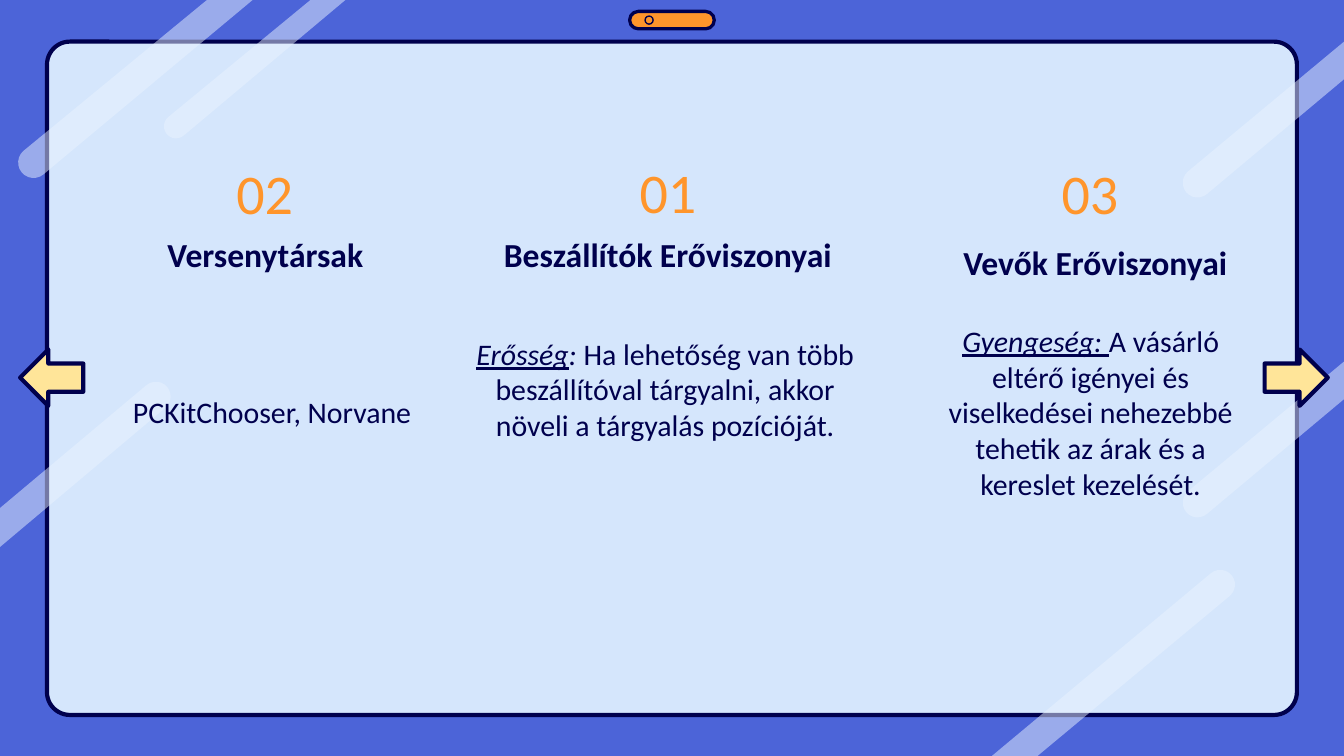
from dataclasses import dataclass
from math import cos, radians, sin

from lxml.etree import SubElement
from pptx import Presentation
from pptx.dml.color import RGBColor
from pptx.enum.shapes import MSO_SHAPE as Preset
from pptx.enum.text import MSO_ANCHOR as Anchor, PP_ALIGN as Align
from pptx.oxml.ns import qn
from pptx.util import Inches, Pt

COLUMNS = 100


@dataclass(frozen=True)
class Theme:
    background: str = "4C64D8"
    panel: str = "D5E6FC"
    ink: str = "00004D"
    accent: str = "FF952B"
    arrow: str = "FFE599"
    stripe: str = "E9F3FF"
    font: str = "Calibri"
    number_size: int = 30
    heading_size: int = 18
    body_size: int = 16
    outline: float = 2.25


def add_text(paragraph, text, font="Calibri", size=16, color="00004D",
             bold=False, italic=False, underline=False):
    run = paragraph.add_run()
    run.text = text
    run.font.name = font
    run.font.size = Pt(size)
    run.font.color.rgb = RGBColor.from_string(color)
    run.font.bold = bold
    run.font.italic = italic
    run.font.underline = underline


class SlideBuilder:
    def __init__(self, presentation, theme):
        self.theme = theme
        self.unit = presentation.slide_width / COLUMNS
        self.bottom = presentation.slide_height / self.unit
        self.slide = presentation.slides.add_slide(presentation.slide_layouts[6])
        fill = self.slide.background.fill
        fill.solid()
        fill.fore_color.rgb = RGBColor.from_string(theme.background)

    def grid(self, *lengths):
        return [round(length * self.unit) for length in lengths]

    def paint(self, shape, color, outline=None):
        shape.shadow.inherit = False
        shape.fill.solid()
        shape.fill.fore_color.rgb = RGBColor.from_string(color)
        if outline is None:
            shape.line.fill.background()
        else:
            shape.line.color.rgb = RGBColor.from_string(self.theme.ink)
            shape.line.width = Pt(outline)

    def preset(self, kind, box, color, outline, corner=None):
        shape = self.slide.shapes.add_shape(kind, *self.grid(*box))
        if corner is not None:
            shape.adjustments[0] = corner
        self.paint(shape, color, outline)

    def stripe(self, center, radius, heading, tail):
        x, y = center
        angles = [radians(heading + step) for step in range(-90, 91, 15)]
        cap = [(x + radius * cos(angle), y + radius * sin(angle)) for angle in angles]
        start, *rest = [tuple(self.grid(*point)) for point in cap + tail]
        builder = self.slide.shapes.build_freeform(*start)
        builder.add_line_segments(rest)
        shape = builder.convert_to_shape()
        self.paint(shape, self.theme.stripe)
        color = shape.fill._xPr.find(qn("a:solidFill"))[0]
        SubElement(color, qn("a:alpha"), val="50000")

    def text(self, box, runs, size, color=None, bold=False):
        frame = self.slide.shapes.add_textbox(*self.grid(*box)).text_frame
        frame.word_wrap = True
        frame.vertical_anchor = Anchor.MIDDLE
        frame.margin_left = frame.margin_right = Inches(0.1)
        frame.margin_top = frame.margin_bottom = Inches(0.1)
        paragraph = frame.paragraphs[0]
        paragraph.alignment = Align.CENTER
        for text, style in runs:
            add_text(paragraph, text, font=self.theme.font, size=size,
                     color=color or self.theme.ink, bold=bold, **style)

    def topic(self, number, heading, body, number_box, heading_box, body_box):
        theme = self.theme
        self.text(number_box, [(number, {})], theme.number_size, theme.accent)
        self.text(heading_box, [(heading, {})], theme.heading_size, bold=True)
        self.text(body_box, body, theme.body_size)


def main():
    presentation = Presentation()
    presentation.slide_width = Inches(10)
    presentation.slide_height = Inches(10 * 9 / 16)
    theme = Theme()
    builder = SlideBuilder(presentation, theme)
    bottom = builder.bottom
    down_left, up_right = 140, -40

    builder.preset(Preset.ROUNDED_RECTANGLE, (3.5, 3.1, 93, 50.1), theme.panel,
                   theme.outline, corner=0.034)
    stripes = [
        ((2.5, 12.1), 1.15, down_left, [(15.4, 0), (18.8, 0)]),
        ((13.1, 9.4), 0.9, down_left, [(23.1, 0), (25.7, 0)]),
        ((90.8, 43.5), 1.1, up_right, [(77.2, bottom), (73.8, bottom)]),
        ((89.1, 37.4), 1.1, down_left, [(COLUMNS, 26.9), (COLUMNS, 29.7)]),
        ((89.1, 13.6), 1.1, down_left, [(COLUMNS, 3.1), (COLUMNS, 5.9)]),
        ((11.6, 29.5), 1.1, up_right, [(0, 40.7), (0, 37.8)]),
    ]
    for stripe in stripes:
        builder.stripe(*stripe)

    builder.preset(Preset.ROUNDED_RECTANGLE, (46.85, 0.85, 6.3, 1.3), theme.accent,
                   1.75, corner=0.5)
    builder.preset(Preset.OVAL, (48, 1.2, 0.6, 0.6), theme.accent, 0.75)

    emphasis = {"italic": True, "underline": True}
    builder.topic("02", "Versenytársak", [("PCKitChooser, Norvane", {})],
                  (15.7, 12.2, 8, 4.2), (8.9, 16.8, 21.7, 4.2), (7.3, 22.6, 25.9, 16.1))
    builder.topic("01", "Beszállítók Erőviszonyai",
                  [("Erősség", emphasis), (": ", {"italic": True}),
                   ("Ha lehetőség van több beszállítóval tárgyalni, akkor növeli "
                    "a tárgyalás pozícióját.", {})],
                  (45.7, 12.1, 8, 4.2), (31.9, 16.8, 35.6, 4.2), (34.2, 22.6, 30.6, 12.7))
    builder.topic("03", "Vevők Erőviszonyai",
                  [("Gyengeség: ", emphasis),
                   ("A vásárló eltérő igényei és viselkedései nehezebbé tehetik "
                    "az árak és a kereslet kezelését.", {})],
                  (77.1, 12.2, 8, 4.2), (68.2, 16.7, 26.6, 5.6), (68.2, 22.6, 25.9, 16.1))

    for kind, left in ((Preset.LEFT_ARROW, 1.5), (Preset.RIGHT_ARROW, 94.1)):
        builder.preset(kind, (left, 26, 4.7, 4.2), theme.arrow, theme.outline)

    presentation.save("out.pptx")


if __name__ == "__main__":
    main()
